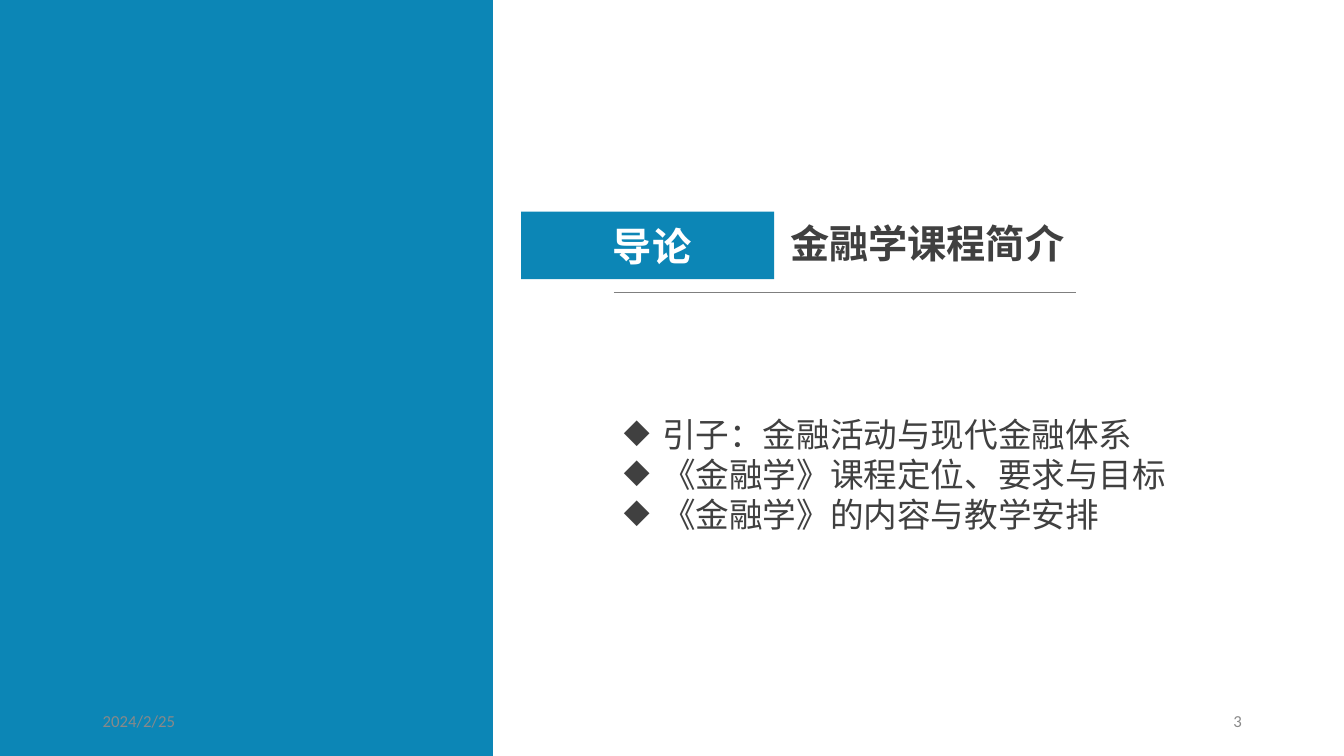
"""Build the section slide that introduces the finance course."""
from dataclasses import dataclass

from lxml import etree
from pptx import Presentation
from pptx.dml.color import RGBColor
from pptx.enum.shapes import MSO_CONNECTOR, MSO_SHAPE
from pptx.enum.text import MSO_ANCHOR, MSO_AUTO_SIZE, PP_ALIGN
from pptx.oxml.ns import qn
from pptx.util import Inches, Pt

RECTANGLE = MSO_SHAPE.RECTANGLE
STRAIGHT = MSO_CONNECTOR.STRAIGHT
LEFT, CENTER, RIGHT = PP_ALIGN.LEFT, PP_ALIGN.CENTER, PP_ALIGN.RIGHT
TOP, MIDDLE = MSO_ANCHOR.TOP, MSO_ANCHOR.MIDDLE
NO_FIT = MSO_AUTO_SIZE.NONE
TITLE_ONLY = 5

SLIDE_WIDTH, SLIDE_HEIGHT = Inches(13.333), Inches(7.5)
CHINESE, LATIN = "Noto Sans CJK SC", "Calibri"
COLORS = {"blue": "0C86B6", "white": "FFFFFF", "text": "404040",
          "rule": "7F7F7F", "footer": "898989"}
BULLET_INDENT = Inches(0.38)


@dataclass(frozen=True)
class Area:
    """A rectangle in percent of the slide's width and height."""
    left: float
    top: float
    width: float
    height: float

    def lengths(self) -> tuple[int, int, int, int]:
        """Return left, top, width and height in slide units."""
        return (across(self.left), down(self.top),
                across(self.width), down(self.height))


@dataclass(frozen=True)
class Style:
    """The look of a text."""
    size: float
    color: str
    font: str = CHINESE
    bold: bool = False
    align: PP_ALIGN = LEFT
    anchor: MSO_ANCHOR = MIDDLE
    wrap: bool = True
    bullet: str = ""
    line_height: float = 0
    top_inset: float = 0.05


@dataclass(frozen=True)
class Label:
    """A text box with its lines."""
    area: Area
    lines: tuple[str, ...]
    style: Style


PANEL = Area(0, 0, 36.68, 100)
TAG = Area(38.78, 28, 18.83, 8.93)
TITLE = Area(58.05, 28.27, 21.98, 7.6)
RULE = Area(45.68, 38.67, 34.35, 0)

TAG_STYLE = Style(28, "white", bold=True, align=CENTER)
TITLE_STYLE = Style(28, "text", bold=True, wrap=False)
TOPIC_STYLE = Style(24, "text", anchor=TOP, bullet="◆",
                    line_height=28.6, top_inset=0.09)

LABELS = (
    Label(Area(45.68, 53.6, 46.28, 17.47),
          ("引子：金融活动与现代金融体系",
           "《金融学》课程定位、要求与目标",
           "《金融学》的内容与教学安排"), TOPIC_STYLE),
    Label(Area(6.9, 92.67, 22.5, 5.33), ("2024/2/25",),
          Style(12, "footer", LATIN)),
    Label(Area(70.65, 92.67, 22.5, 5.33), ("3",),
          Style(12, "footer", LATIN, align=RIGHT)),
)


def across(percent: float) -> int:
    """Turn a share of the slide's width into a length."""
    return round(SLIDE_WIDTH * percent / 100)


def down(percent: float) -> int:
    """Turn a share of the slide's height into a length."""
    return round(SLIDE_HEIGHT * percent / 100)


def rgb(name: str) -> RGBColor:
    """Look up a named colour."""
    return RGBColor.from_string(COLORS[name])


def add_bullet(paragraph, character: str) -> None:
    """Give a paragraph a hanging bullet."""
    properties = paragraph._p.get_or_add_pPr()
    properties.set("marL", str(BULLET_INDENT))
    properties.set("indent", str(-BULLET_INDENT))
    etree.SubElement(properties, qn("a:buChar")).set("char", character)


def write_text(shape, lines: tuple[str, ...], style: Style) -> None:
    """Write styled lines into a shape."""
    frame = shape.text_frame
    frame.auto_size = NO_FIT
    frame.word_wrap = style.wrap
    frame.vertical_anchor = style.anchor
    frame.margin_left = frame.margin_right = Inches(0.1)
    frame.margin_top = Inches(style.top_inset)
    frame.margin_bottom = Inches(0.05)
    for index, line in enumerate(lines):
        paragraph = frame.add_paragraph() if index else frame.paragraphs[0]
        paragraph.alignment = style.align
        if style.bullet:
            add_bullet(paragraph, style.bullet)
        if style.line_height:
            paragraph.line_spacing = Pt(style.line_height)
        run = paragraph.add_run()
        run.text = line
        run.font.size = Pt(style.size)
        run.font.bold = style.bold
        run.font.color.rgb = rgb(style.color)
        run.font.name = style.font
        east_asian = etree.SubElement(run._r.get_or_add_rPr(), qn("a:ea"))
        east_asian.set("typeface", style.font)


def add_block(slide, area: Area):
    """Add a plain blue rectangle."""
    shape = slide.shapes.add_shape(RECTANGLE, *area.lengths())
    shape.shadow.inherit = False
    shape.fill.solid()
    shape.fill.fore_color.rgb = rgb("blue")
    shape.line.fill.background()
    return shape


def add_rule(slide, area: Area) -> None:
    """Add the thin line under the heading."""
    left, top, width, height = area.lengths()
    rule = slide.shapes.add_connector(
        STRAIGHT, left, top, left + width, top + height)
    rule.line.color.rgb = rgb("rule")
    rule.line.width = Pt(0.5)
    etree.SubElement(rule._element.spPr, qn("a:effectLst"))


def add_title(slide) -> None:
    """Place and fill the title placeholder."""
    title = slide.shapes.title
    title.left, title.top, title.width, title.height = TITLE.lengths()
    write_text(title, ("金融学课程简介",), TITLE_STYLE)


def main() -> None:
    """Build and save the slide."""
    presentation = Presentation()
    presentation.slide_width = SLIDE_WIDTH
    presentation.slide_height = SLIDE_HEIGHT
    slide = presentation.slides.add_slide(
        presentation.slide_layouts[TITLE_ONLY])
    add_block(slide, PANEL)
    write_text(add_block(slide, TAG), (" 导论",), TAG_STYLE)
    add_title(slide)
    add_rule(slide, RULE)
    for label in LABELS:
        box = slide.shapes.add_textbox(*label.area.lengths())
        write_text(box, label.lines, label.style)
    presentation.save("out.pptx")


if __name__ == "__main__":
    main()
